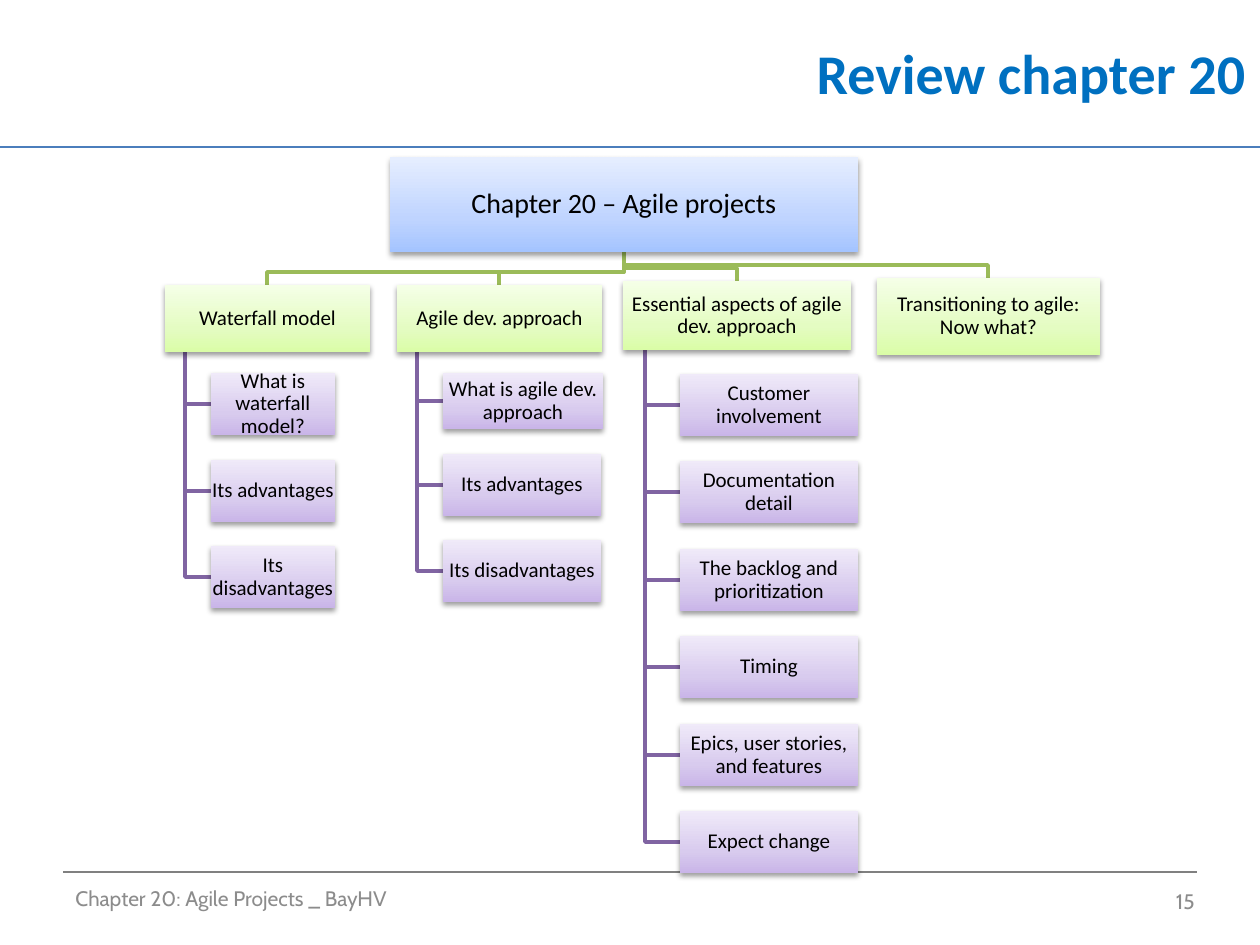
from dataclasses import dataclass, field

import pptx
import pptx.dml.color
import pptx.enum.shapes
import pptx.enum.text
import pptx.oxml
import pptx.oxml.ns
import pptx.util

EMU_PER_PX = 914400 / 126
ALIGN = pptx.enum.text.PP_ALIGN
DRAWING_NS = pptx.oxml.ns.nsdecls("a")

# Gradient colours run from the bottom of a box to its top
BLUE = ("A4C4FF", "BFD4FF", "E6EEFF")
GREEN = ("DAFDA7", "E4FCC2", "F5FFE7")
PURPLE = ("C9B5E8", "D8CBEE", "F0EAF9")
STOPS = (0, 35, 100)
GREEN_LINE = "9BBB59"
PURPLE_LINE = "8064A2"


@dataclass
class Area:
    left: int
    top: int
    width: int
    height: int

    @property
    def middle(self) -> int:
        return self.left + self.width // 2

    @property
    def bottom(self) -> int:
        return self.top + self.height


@dataclass
class Item:
    text: str
    width: int
    height: int = 62


@dataclass
class Topic:
    text: str
    area: Area
    items: list[Item] = field(default_factory=list)
    items_left: int = 0
    items_top: int = 0
    items_bottom: int = 0

    def item_areas(self) -> list[Area]:
        """Stack the items with equal gaps between top and bottom."""
        if not self.items:
            return []
        free = self.items_bottom - self.items_top - sum(i.height for i in self.items)
        gap = free / (len(self.items) - 1)
        areas, top = [], self.items_top
        for item in self.items:
            areas.append(Area(self.items_left, round(top), item.width, item.height))
            top += item.height + gap
        return areas


ROOT = Area(390, 157, 468, 95)
TOPICS = [
    Topic("Waterfall model", Area(165, 285, 205, 67),
          [Item("What is waterfall model?", 124), Item("Its advantages", 124),
           Item("Its disadvantages", 124)], 211, 373, 608),
    Topic("Agile dev. approach", Area(397, 285, 205, 67),
          [Item("What is agile dev. approach", 160, 56), Item("Its advantages", 158),
           Item("Its disadvantages", 158)], 443, 373, 602),
    Topic("Essential aspects of agile dev. approach", Area(623, 281, 228, 69),
          [Item(text, 178) for text in (
              "Customer involvement", "Documentation detail",
              "The backlog and prioritization", "Timing",
              "Epics, user stories, and features", "Expect change")], 680, 374, 873),
    Topic("Transitioning to agile: Now what?", Area(877, 278, 223, 77)),
]


def px(length: float) -> pptx.util.Emu:
    return pptx.util.Emu(round(length * EMU_PER_PX))


def colour(value: str) -> pptx.dml.color.RGBColor:
    return pptx.dml.color.RGBColor.from_string(value)


def place(area: Area) -> tuple:
    return px(area.left), px(area.top), px(area.width), px(area.height)


def add_text(box, text: str, size: int, font: str, hex_colour: str, align, bold: bool = False):
    frame = box.text_frame
    frame.word_wrap = True
    frame.vertical_anchor = pptx.enum.text.MSO_ANCHOR.MIDDLE
    para = frame.paragraphs[0]
    para.alignment = align
    span = para.add_run()
    span.text = text
    span.font.name = font
    span.font.size = pptx.util.Pt(size)
    span.font.bold = bold
    span.font.color.rgb = colour(hex_colour)
    return frame


def add_label(page, area: Area, *text_style, **options) -> None:
    add_text(page.shapes.add_textbox(*place(area)), *text_style, **options)


def add_rule(page, left: int, right: int, y: int, hex_colour: str) -> None:
    rule = page.shapes.add_connector(
        pptx.enum.shapes.MSO_CONNECTOR.STRAIGHT, px(left), px(y), px(right), px(y))
    rule.line.color.rgb = colour(hex_colour)
    rule.line.width = pptx.util.Pt(0.75)
    properties = rule._element.spPr
    properties.append(pptx.oxml.parse_xml(f"<a:effectLst {DRAWING_NS}/>"))


def add_branch(page, points: list[tuple[int, int]], hex_colour: str) -> None:
    builder = page.shapes.build_freeform(*points[0], scale=EMU_PER_PX)
    builder.add_line_segments(points[1:], close=False)
    branch = builder.convert_to_shape()
    branch.shadow.inherit = False
    branch.fill.background()
    branch.line.color.rgb = colour(hex_colour)
    branch.line.width = pptx.util.Pt(2)


def add_node(page, area: Area, text: str, shades: tuple, size: int = 12) -> None:
    box = page.shapes.add_shape(pptx.enum.shapes.MSO_SHAPE.RECTANGLE, *place(area))
    box.line.fill.background()
    box.shadow.inherit = False
    properties = box._element.spPr

    # Three-stop gradient
    stops = "".join(f'<a:gs pos="{stop * 1000}"><a:srgbClr val="{shade}"/></a:gs>'
                    for stop, shade in zip(STOPS, shades))
    gradient = pptx.oxml.parse_xml(
        f'<a:gradFill {DRAWING_NS} rotWithShape="1"><a:gsLst>{stops}</a:gsLst>'
        '<a:lin ang="16200000" scaled="0"/></a:gradFill>')
    properties.find(pptx.oxml.ns.qn("a:prstGeom")).addnext(gradient)

    # Soft shadow below the box
    properties.find(pptx.oxml.ns.qn("a:effectLst")).append(pptx.oxml.parse_xml(
        f'<a:outerShdw {DRAWING_NS} blurRad="40000" dist="20000" dir="5400000" '
        'rotWithShape="0"><a:srgbClr val="000000"><a:alpha val="38000"/>'
        '</a:srgbClr></a:outerShdw>'))

    frame = add_text(box, text, size, "Calibri", "000000", ALIGN.CENTER)
    frame.margin_left = frame.margin_right = px(1)
    frame.margin_top = frame.margin_bottom = px(1)
    frame.paragraphs[0].line_spacing = 0.9


def add_topic_branches(page, topic: Topic) -> None:
    area = topic.area
    bend = area.top - 13
    add_branch(page, [(ROOT.middle, ROOT.bottom), (ROOT.middle, bend),
                      (area.middle, bend), (area.middle, area.top)], GREEN_LINE)
    spine = area.left + area.width // 10
    for item_area in topic.item_areas():
        level = item_area.top + item_area.height // 2
        add_branch(page, [(spine, area.bottom), (spine, level),
                          (item_area.left, level)], PURPLE_LINE)


def main() -> None:
    deck = pptx.Presentation()
    deck.slide_width, deck.slide_height = px(1260), px(945)
    page = deck.slides.add_slide(deck.slide_layouts[6])

    # Rules, title and footer
    add_rule(page, 0, 1260, 147, "4B7EBC")
    add_rule(page, 63, 1197, 872, "808080")
    add_label(page, Area(365, 0, 893, 145), "Review chapter 20", 32, "Calibri",
              "0070C0", ALIGN.RIGHT, bold=True)
    add_label(page, Area(63, 873, 840, 50), "Chapter 20: Agile Projects _ BayHV", 12,
              "Cabin", "8C8C8C", ALIGN.LEFT)
    add_label(page, Area(913, 876, 294, 50), "15", 12, "Cabin", "8C8C8C", ALIGN.RIGHT)

    # Branches lie behind the boxes
    for topic in reversed(TOPICS):
        add_topic_branches(page, topic)

    # Boxes
    add_node(page, ROOT, "Chapter 20 – Agile projects", BLUE, 16)
    for topic in TOPICS:
        add_node(page, topic.area, topic.text, GREEN)
        for item, item_area in zip(topic.items, topic.item_areas()):
            add_node(page, item_area, item.text, PURPLE)

    deck.save("out.pptx")


if __name__ == "__main__":
    main()
